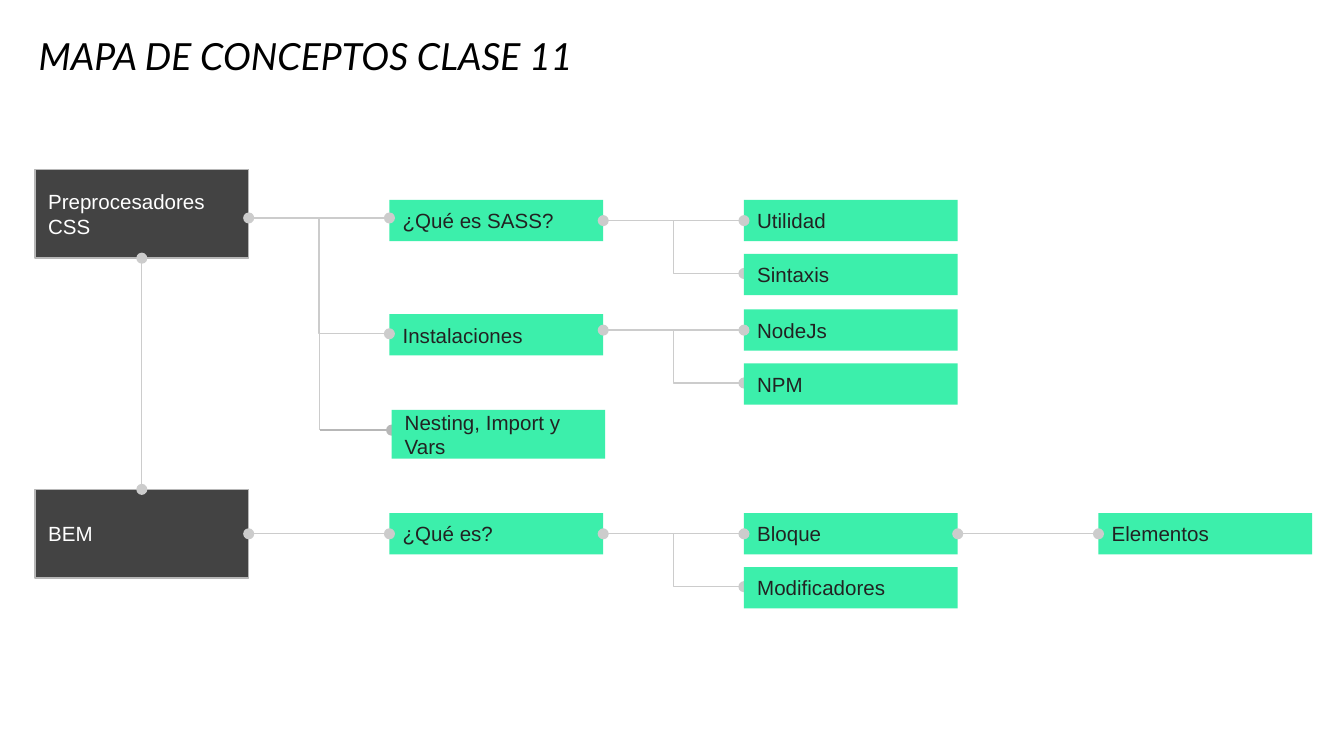
import pptx
import pptx.dml.color
import pptx.enum.shapes
import pptx.enum.text
import pptx.oxml.ns
import pptx.util
import lxml.etree

Cm = pptx.util.Cm
Pt = pptx.util.Pt
CONNECTOR = pptx.enum.shapes.MSO_CONNECTOR
ANCHOR = pptx.enum.text.MSO_ANCHOR

COLORS = {
    "title": "000000",
    "unit": "434343",
    "unit_text": "FFFFFF",
    "unit_border": "B7B7B7",
    "topic": "3CEFAB",
    "topic_text": "222222",
    "link": "CCCCCC",
    "dark_link": "B7B7B7",
}

BOX_WIDTH = 4.04
UNIT_HEIGHT = 1.68
TOPIC_HEIGHT = 0.78
COLUMNS = [0.66 + 6.7 * number for number in range(4)]
LEAF_STEP = 1.02
BRANCH_DROP = 1


class ConceptMap:
    def __init__(self, slide):
        self.slide = slide
        self.line_width = Pt(0.75)
        self.inset = Cm(0.25)

    def color(self, name):
        return pptx.dml.color.RGBColor.from_string(COLORS[name])

    def label(self, shape, text, font, size, color, anchor, italic=False):
        frame = shape.text_frame
        frame.text = text
        frame.word_wrap = True
        frame.auto_size = pptx.enum.text.MSO_AUTO_SIZE.NONE
        frame.vertical_anchor = anchor
        frame.margin_left = frame.margin_right = self.inset
        frame.margin_top = frame.margin_bottom = self.inset
        for paragraph in frame.paragraphs:
            paragraph.alignment = pptx.enum.text.PP_ALIGN.LEFT
            for run in paragraph.runs:
                run.font.name = font
                run.font.size = Pt(size)
                run.font.italic = italic
                run.font.color.rgb = self.color(color)

    def title(self, text):
        heading = self.slide.shapes.title
        heading.left, heading.top = Cm(0.48), Cm(0.56)
        heading.width, heading.height = Cm(20.98), Cm(1.17)
        self.label(heading, text, "Lato", 20, "title", ANCHOR.BOTTOM, italic=True)

    def box(self, text, left, top, height, kind):
        concept = self.slide.shapes.add_shape(
            pptx.enum.shapes.MSO_SHAPE.RECTANGLE,
            Cm(left), Cm(top), Cm(BOX_WIDTH), Cm(height))
        concept.shadow.inherit = False
        concept.fill.solid()
        concept.fill.fore_color.rgb = self.color(kind)
        self.label(concept, text, "Arial", 11, kind + "_text", ANCHOR.MIDDLE)
        return concept

    def unit(self, text, top):
        concept = self.box(text, COLUMNS[0], top, UNIT_HEIGHT, "unit")
        concept.line.color.rgb = self.color("unit_border")
        concept.line.width = self.line_width

    def topic(self, text, left, top, height=TOPIC_HEIGHT):
        concept = self.box(text, left, top, height, "topic")
        concept.line.fill.background()

    def link(self, start, end, kind=CONNECTOR.STRAIGHT, dots=("head", "tail"), color="link"):
        connector = self.slide.shapes.add_connector(
            kind, Cm(start[0]), Cm(start[1]), Cm(end[0]), Cm(end[1]))
        connector.line.color.rgb = self.color(color)
        connector.line.width = self.line_width
        properties = connector._element.spPr
        line = properties.find(pptx.oxml.ns.qn("a:ln"))
        for dot in dots:
            lxml.etree.SubElement(line, pptx.oxml.ns.qn(f"a:{dot}End"), type="oval")
        lxml.etree.SubElement(properties, pptx.oxml.ns.qn("a:effectLst"))

    def across(self, column, y):
        self.link((COLUMNS[column] + BOX_WIDTH, y), (COLUMNS[column + 1], y))

    def branch(self, column, y, drop):
        self.link((COLUMNS[column] + BOX_WIDTH, y), (COLUMNS[column + 1], y + drop),
                  CONNECTOR.ELBOW, ("tail",))

    def leaf_pair(self, first, second, top, link_y):
        self.topic(first, COLUMNS[2], top)
        self.across(1, link_y)
        self.branch(1, link_y, BRANCH_DROP)
        self.topic(second, COLUMNS[2], top + LEAF_STEP)


def main():
    presentation = pptx.Presentation()
    presentation.slide_width = Cm(25.4)
    presentation.slide_height = Cm(14.29)
    concept_map = ConceptMap(
        presentation.slides.add_slide(presentation.slide_layouts[5]))
    concept_map.title("MAPA DE CONCEPTOS CLASE 11")

    preprocessors_top, bem_top = 3.2, 9.25
    concept_map.unit("BEM", bem_top)
    concept_map.unit("Preprocesadores\nCSS", preprocessors_top)
    units_center = COLUMNS[0] + BOX_WIDTH / 2
    concept_map.link((units_center, preprocessors_top + UNIT_HEIGHT),
                     (units_center, bem_top))

    for text, top in (("¿Qué es SASS?", 3.78), ("Instalaciones", 5.94), ("¿Qué es?", 9.7)):
        concept_map.topic(text, COLUMNS[1], top)

    preprocessors_y, bem_y = 4.12, 10.09
    concept_map.across(0, preprocessors_y)
    concept_map.branch(0, preprocessors_y, 2.19)
    concept_map.across(0, bem_y)

    trunk_x, nesting_x, nesting_y = 6.04, 7.4, 8.13
    concept_map.link((trunk_x, preprocessors_y), (trunk_x, nesting_y), dots=())
    concept_map.link((trunk_x, nesting_y), (nesting_x, nesting_y),
                     dots=("tail",), color="dark_link")
    concept_map.topic("Nesting, Import y Vars", nesting_x, 7.75, 0.92)

    for first, second, top, link_y in (
        ("Utilidad", "Sintaxis", 3.78, 4.17),
        ("NodeJs", "NPM", 5.85, 6.24),
        ("Bloque", "Modificadores", 9.7, bem_y),
    ):
        concept_map.leaf_pair(first, second, top, link_y)

    concept_map.topic("Elementos", COLUMNS[3], 9.7)
    concept_map.across(2, bem_y)

    presentation.save("out.pptx")


if __name__ == "__main__":
    main()
